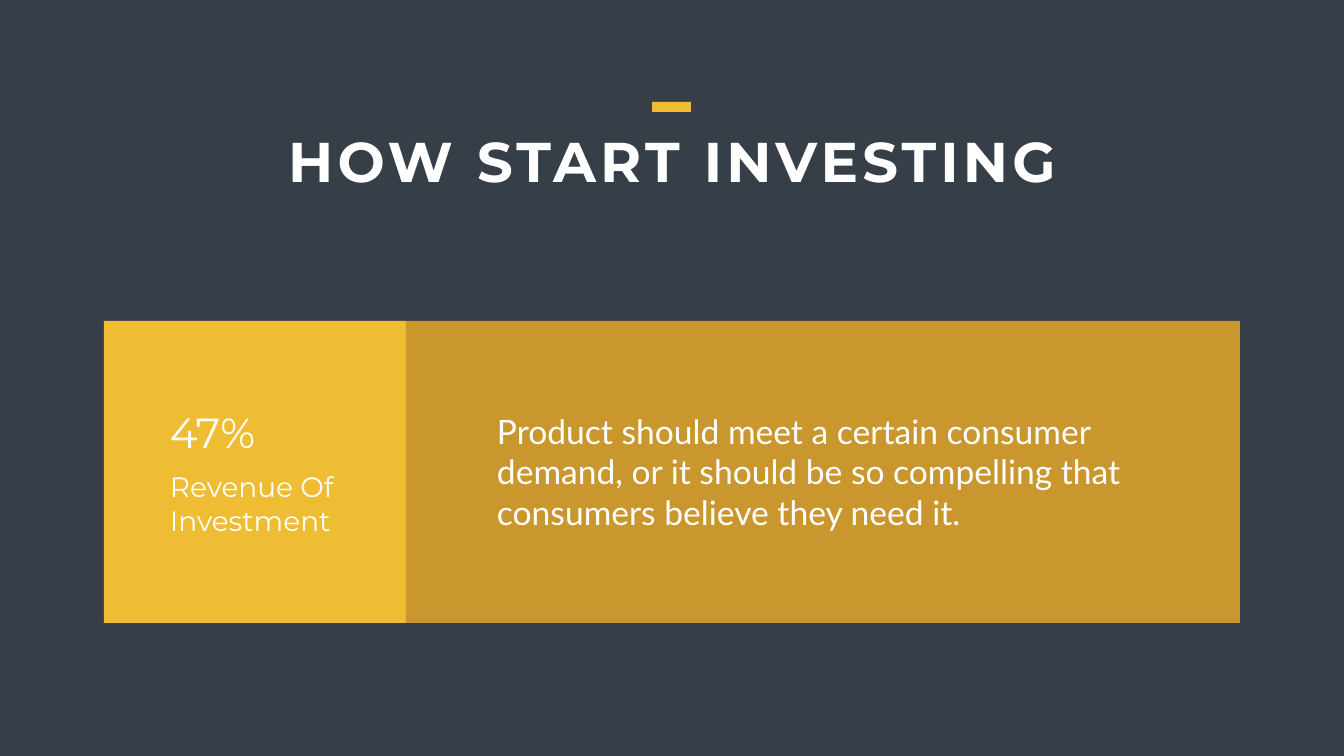
from pptx import Presentation
from pptx.dml.color import RGBColor
from pptx.enum.shapes import MSO_SHAPE
from pptx.enum.text import MSO_ANCHOR, MSO_AUTO_SIZE, PP_ALIGN
from pptx.util import Emu, Pt

RECTANGLE = MSO_SHAPE.RECTANGLE
TOP = MSO_ANCHOR.TOP
NO_AUTOFIT = MSO_AUTO_SIZE.NONE
LEFT, CENTER = PP_ALIGN.LEFT, PP_ALIGN.CENTER

SLATE = RGBColor(0x36, 0x3E, 0x48)
YELLOW = RGBColor(0xEF, 0xBD, 0x33)
OCHRE = RGBColor(0xC9, 0x97, 0x2E)
WHITE = RGBColor(0xFF, 0xFF, 0xFF)

HEADING_FONT = "Montserrat"
BODY_FONT = "Lato"

SLIDE_WIDTH, SLIDE_HEIGHT = 1344, 756
EMU_PER_PX = 914400 / 50.4
CARD_LEFT, CARD_TOP, CARD_SIZE = 104, 321, 302
CARD_RIGHT = CARD_LEFT + CARD_SIZE
TEXT_LEFT = 165


def px(length):
    return Emu(round(length * EMU_PER_PX))


def add_block(slide, left, top, width, height, color):
    block = slide.shapes.add_shape(
        RECTANGLE, px(left), px(top), px(width), px(height))
    block.shadow.inherit = False
    block.fill.solid()
    block.fill.fore_color.rgb = color
    block.line.fill.background()


def write_text(shape, text, size, font_name, bold=False, align=LEFT, inset=(5, 2.5)):
    """Fill a shape with one white paragraph; inset is (sides, top and bottom)."""
    frame = shape.text_frame
    frame.text = text
    frame.word_wrap = True
    frame.auto_size = NO_AUTOFIT
    frame.vertical_anchor = TOP
    frame.margin_left = frame.margin_right = px(inset[0])
    frame.margin_top = frame.margin_bottom = px(inset[1])
    paragraph = frame.paragraphs[0]
    paragraph.alignment = align
    font = paragraph.runs[0].font
    font.name = font_name
    font.size = Pt(size)
    font.bold = bold
    font.color.rgb = WHITE


def add_text(slide, left, top, width, height, text, size, font_name, **options):
    box = slide.shapes.add_textbox(px(left), px(top), px(width), px(height))
    write_text(box, text, size, font_name, **options)


def set_title(slide, text):
    title = slide.shapes.title
    title.left, title.top = px(192), px(124)
    title.width, title.height = px(961), px(73)
    write_text(title, text, 80, HEADING_FONT, bold=True, align=CENTER)
    run = title.text_frame.paragraphs[0].runs[0]
    run._r.get_or_add_rPr().set("spc", "600")


def main():
    presentation = Presentation()
    presentation.slide_width = px(SLIDE_WIDTH)
    presentation.slide_height = px(SLIDE_HEIGHT)
    slide = presentation.slides.add_slide(
        presentation.slide_layouts.get_by_name("Title Only"))
    slide.background.fill.solid()
    slide.background.fill.fore_color.rgb = SLATE

    set_title(slide, "HOW START INVESTING")
    add_block(slide, 652, 102, 39, 10, YELLOW)

    add_block(slide, CARD_LEFT, CARD_TOP, CARD_SIZE, CARD_SIZE, YELLOW)
    add_text(slide, TEXT_LEFT, 404, 100, 56, "47%", 60, HEADING_FONT)
    add_text(slide, TEXT_LEFT, 467, 196, 73, "Revenue Of Investment", 40, HEADING_FONT)

    panel_width = SLIDE_WIDTH - CARD_LEFT - CARD_RIGHT
    add_block(slide, CARD_RIGHT, CARD_TOP, panel_width, CARD_SIZE, OCHRE)
    add_text(slide, 485, 405, 676, 134,
             "Product should meet a certain consumer demand, or it should be so "
             "compelling that consumers believe they need it.",
             48, BODY_FONT, inset=(12, 6))

    presentation.save("out.pptx")


if __name__ == "__main__":
    main()
